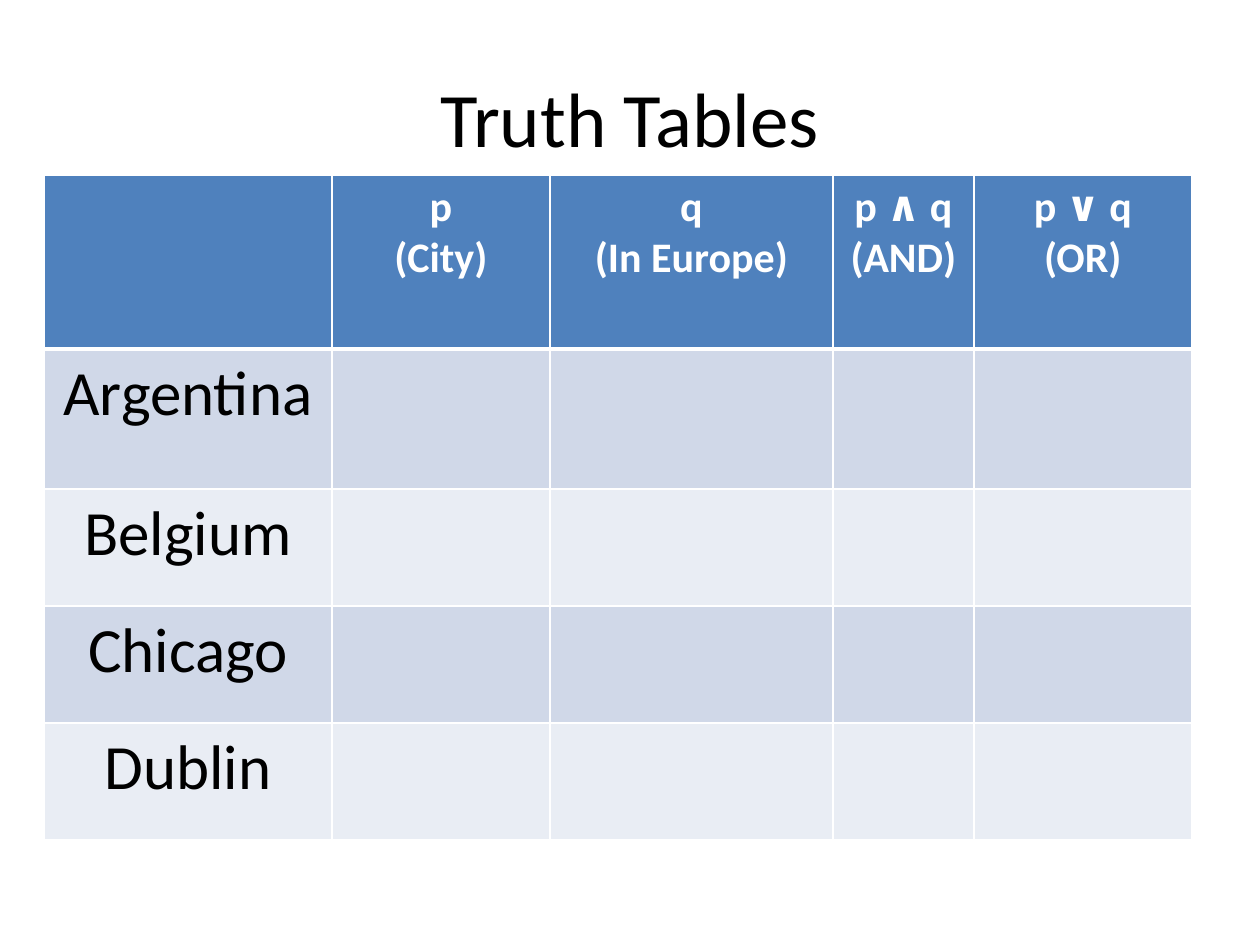
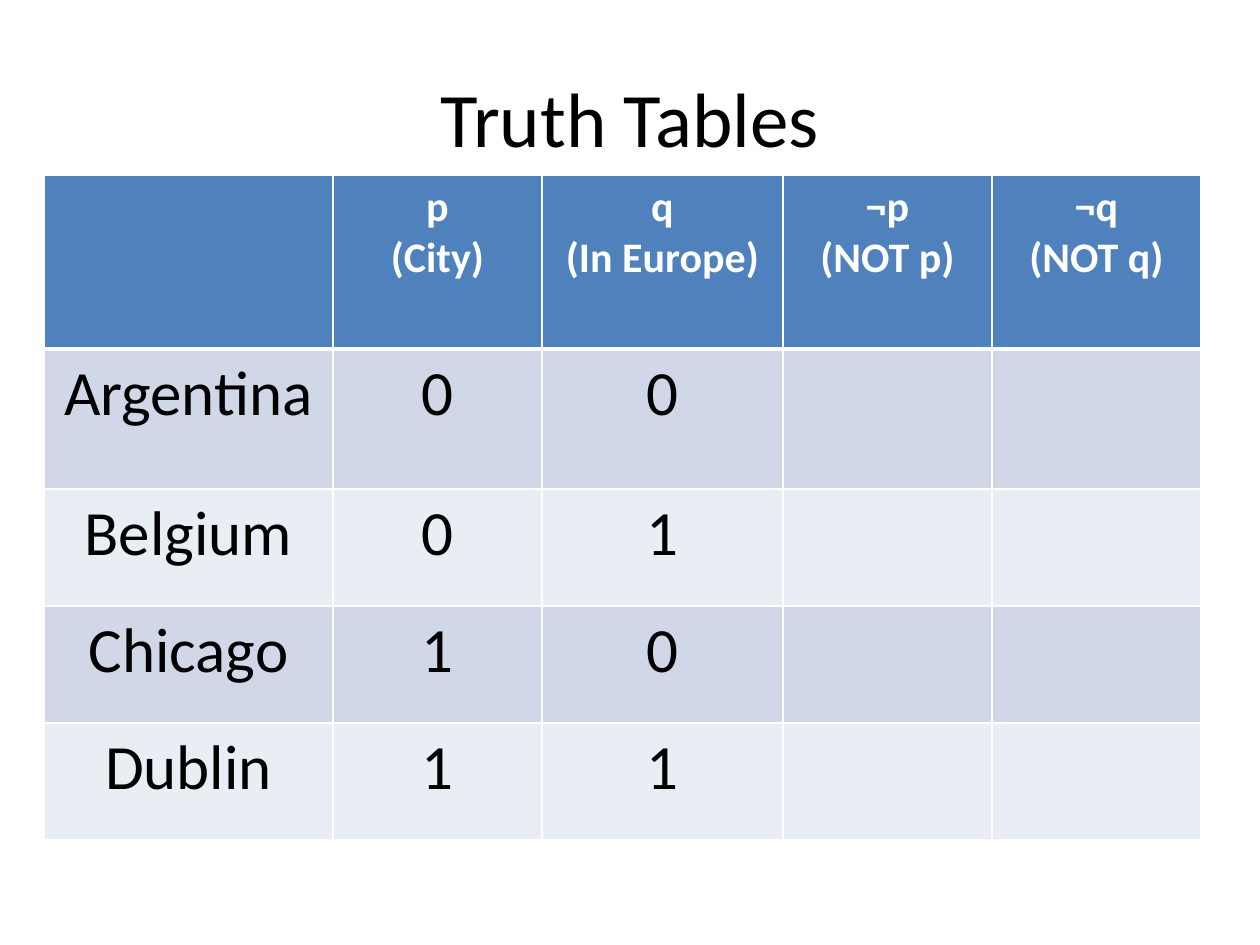
from pptx import Presentation as Deck
from pptx.dml.color import RGBColor as RGB
from pptx.enum.text import MSO_ANCHOR as Anchor, PP_ALIGN as Align
from pptx.oxml import parse_xml
from pptx.oxml.ns import nsdecls
from pptx.util import Pt

WHITE = RGB(0xFF, 0xFF, 0xFF)
BLACK = RGB(0, 0, 0)
BLUE = RGB(0x4F, 0x81, 0xBD)
BANDS = RGB(0xD0, 0xD8, 0xE8), RGB(0xE9, 0xED, 0xF4)

TITLE = "Truth Tables"
PLACES = ["Argentina", "Belgium", "Chicago", "Dublin"]
INPUTS = ["", "p\n(City)", "q\n(In Europe)"]
TABLES = [
    {"heads": ["p ∧ q\n(AND)", "p ∨ q\n(OR)"],
     "values": [[]] * 4,
     "cols": [288, 218, 283, 141, 218]},
    {"heads": ["¬p\n(NOT p)", "¬q\n(NOT q)"],
     "values": ["00", "01", "10", "11"],
     "cols": [289, 209, 241, 209, 209]},
]
ROWS = [174, 140, 117, 117, 117]
LEFT, TOP = 44, 175
TITLE_BOX = 63, 38, 1134, 157

TITLE_FONT = {"name": "Calibri", "size": Pt(44), "bold": False}
HEAD_FONT = {"name": "Calibri", "size": Pt(24), "bold": True}
BODY_FONT = {"name": "Calibri", "size": Pt(36), "bold": False}


def px(n):
    return round(n * 914400 / 126)


def write(frame, text, font, color):
    frame.text = text
    for para in frame.paragraphs:
        para.alignment = Align.CENTER
        for run in para.runs:
            run.font.color.rgb = color
            for key, value in font.items():
                setattr(run.font, key, value)


def edge(cell, row):
    widths = {"L": 1, "R": 1, "T": 3 if row == 1 else 1, "B": 1 if row else 3}
    props = cell._tc.get_or_add_tcPr()
    for spot, (side, width) in enumerate(widths.items()):
        props.insert(spot, parse_xml(
            f'<a:ln{side} {nsdecls("a")} w="{Pt(width)}"><a:solidFill>'
            f'<a:srgbClr val="{WHITE}"/></a:solidFill></a:ln{side}>'))


def add_title(slide):
    frame = slide.shapes.add_textbox(*map(px, TITLE_BOX)).text_frame
    frame.word_wrap = True
    frame.vertical_anchor = Anchor.MIDDLE
    write(frame, TITLE, TITLE_FONT, BLACK)


def add_grid(slide, heads, values, cols):
    texts = [INPUTS + heads]
    texts += [[place, *bits] for place, bits in zip(PLACES, values)]
    grid = slide.shapes.add_table(
        len(ROWS), len(cols), px(LEFT), px(TOP), px(sum(cols)), px(sum(ROWS))).table
    for col, width in zip(grid.columns, cols):
        col.width = px(width)
    for r, height in enumerate(ROWS):
        grid.rows[r].height = px(height)
        fill = BANDS[(r - 1) % 2] if r else BLUE
        font, color = (BODY_FONT, BLACK) if r else (HEAD_FONT, WHITE)
        for c in range(len(cols)):
            cell = grid.cell(r, c)
            cell.fill.solid()
            cell.fill.fore_color.rgb = fill
            edge(cell, r)
            if c < len(texts[r]):
                write(cell.text_frame, texts[r][c], font, color)


deck = Deck()
deck.slide_width, deck.slide_height = px(1260), px(945)
for table in TABLES:
    slide = deck.slides.add_slide(deck.slide_layouts[6])
    add_title(slide)
    add_grid(slide, **table)
deck.save("out.pptx")
